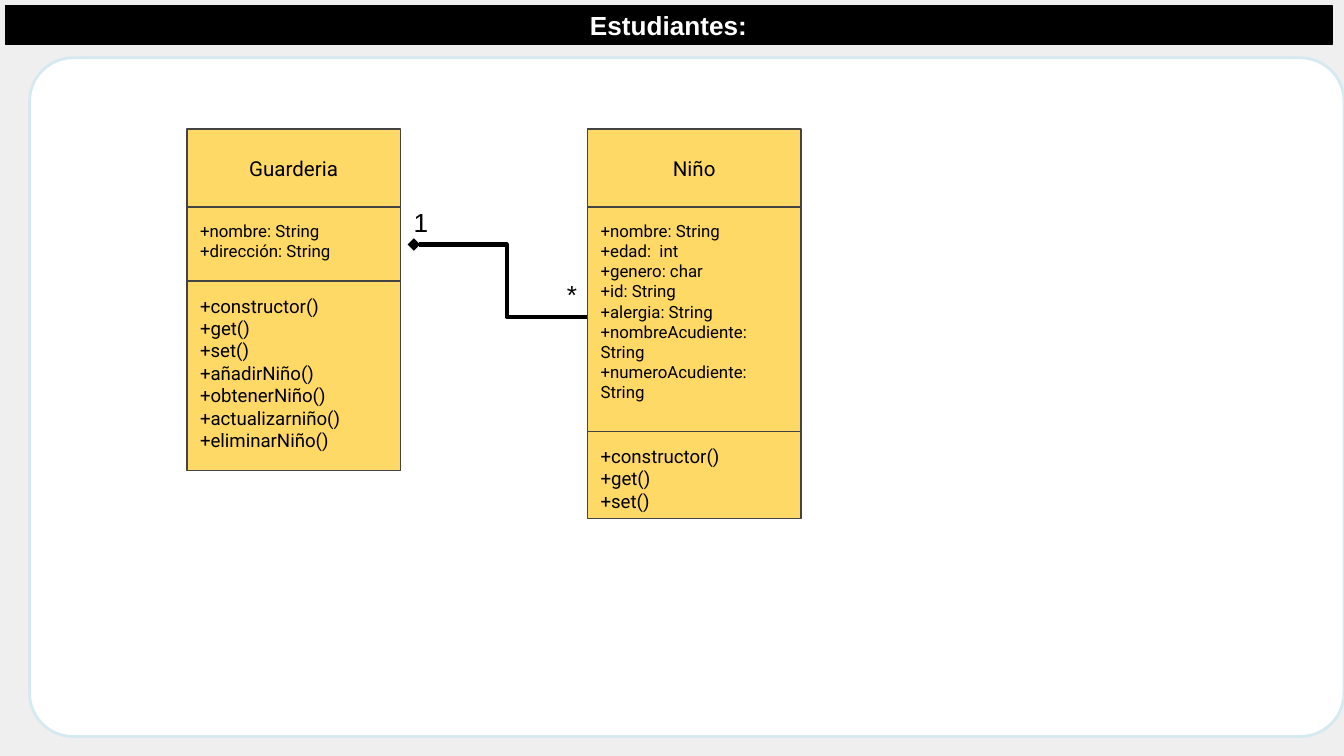
from lxml import etree
from pptx import Presentation
from pptx.dml.color import RGBColor
from pptx.enum import shapes, text
from pptx.oxml import ns
from pptx.util import Inches, Pt

BLACK = RGBColor(0x00, 0x00, 0x00)
WHITE = RGBColor(0xFF, 0xFF, 0xFF)
GRAY = RGBColor(0xEF, 0xEF, 0xEF)
PALE_BLUE = RGBColor(0xD6, 0xE8, 0xF0)
YELLOW = RGBColor(0xFF, 0xD9, 0x66)
DARK_GRAY = RGBColor(0x43, 0x43, 0x43)

prs = Presentation()
prs.slide_width, prs.slide_height = Inches(10), Inches(10 * 9 / 16)
slide = prs.slides.add_slide(prs.slide_layouts[6])
slide.background.fill.solid()
slide.background.fill.fore_color.rgb = GRAY


def add_box(kind, left, top, width, height, fill, line, line_width):
    box = slide.shapes.add_shape(
        kind, Inches(left), Inches(top), Inches(width), Inches(height))
    box.shadow.inherit = False
    box.fill.solid()
    box.fill.fore_color.rgb = fill
    box.line.color.rgb = line
    box.line.width = Pt(line_width)
    return box


def write(frame, lines, size, font, color, centred, bold=False):
    frame.text = "\n".join(lines)
    for paragraph in frame.paragraphs:
        paragraph.alignment = text.PP_ALIGN.CENTER if centred else text.PP_ALIGN.LEFT
        paragraph.font.size = Pt(size)
        paragraph.font.name = font
        paragraph.font.bold = bold
        paragraph.font.color.rgb = color


RECTANGLE = shapes.MSO_SHAPE.RECTANGLE

panel = add_box(shapes.MSO_SHAPE.ROUNDED_RECTANGLE, 0.22, 0.43, 9.78, 5.05,
                WHITE, PALE_BLUE, 1.5)
panel.adjustments[0] = 0.064

title = add_box(RECTANGLE, 0.04, 0.04, 9.87, 0.29, BLACK, BLACK, 0.75)
write(title.text_frame, ["Estudiantes:"], 14, "Arial", WHITE, True, bold=True)

composition = slide.shapes.add_connector(
    shapes.MSO_CONNECTOR.ELBOW, Inches(4.46), Inches(2.36), Inches(3.08), Inches(1.82))
composition.line.color.rgb = BLACK
composition.line.width = Pt(2.25)
etree.SubElement(composition.line._get_or_add_ln(), ns.qn("a:tailEnd"), type="diamond")
etree.SubElement(composition._element.spPr, ns.qn("a:effectLst"))

classes = [
    (1.39, "Guarderia", 0.55, ["+nombre: String", "+dirección: String"],
     1.41, ["+constructor()", "+get()", "+set()", "+añadirNiño()", "+obtenerNiño()",
            "+actualizarniño()", "+eliminarNiño()"]),
    (4.37, "Niño", 1.67, ["+nombre: String", "+edad:  int", "+genero: char",
                          "+id: String", "+alergia: String",
                          "+nombreAcudiente: String", "+numeroAcudiente: String"],
     0.65, ["+constructor()", "+get()", "+set()"]),
]
for left, name, attributes_height, attributes, methods_height, methods in classes:
    top = 0.96
    for height, lines, size in [(0.58, [name], 11),
                                (attributes_height, attributes, 9),
                                (methods_height, methods, 10)]:
        section = add_box(RECTANGLE, left, top, 1.59, height, YELLOW, DARK_GRAY, 0.75)
        frame = section.text_frame
        frame.margin_left = frame.margin_right = Inches(0.1)
        frame.margin_top = frame.margin_bottom = Inches(0.1)
        is_name = lines == [name]
        frame.vertical_anchor = text.MSO_ANCHOR.MIDDLE if is_name else text.MSO_ANCHOR.TOP
        write(frame, lines, size, "Roboto", BLACK, is_name)
        top += height

for left, top, width, multiplicity in [(4.12, 2.02, 0.28, "*"), (2.98, 1.49, 0.31, "1")]:
    label = slide.shapes.add_textbox(
        Inches(left), Inches(top), Inches(width), Inches(0.34))
    label.text_frame.word_wrap = False
    label.text_frame.auto_size = text.MSO_AUTO_SIZE.SHAPE_TO_FIT_TEXT
    write(label.text_frame, [multiplicity], 14, "Arial", BLACK, False)

prs.save("out.pptx")
